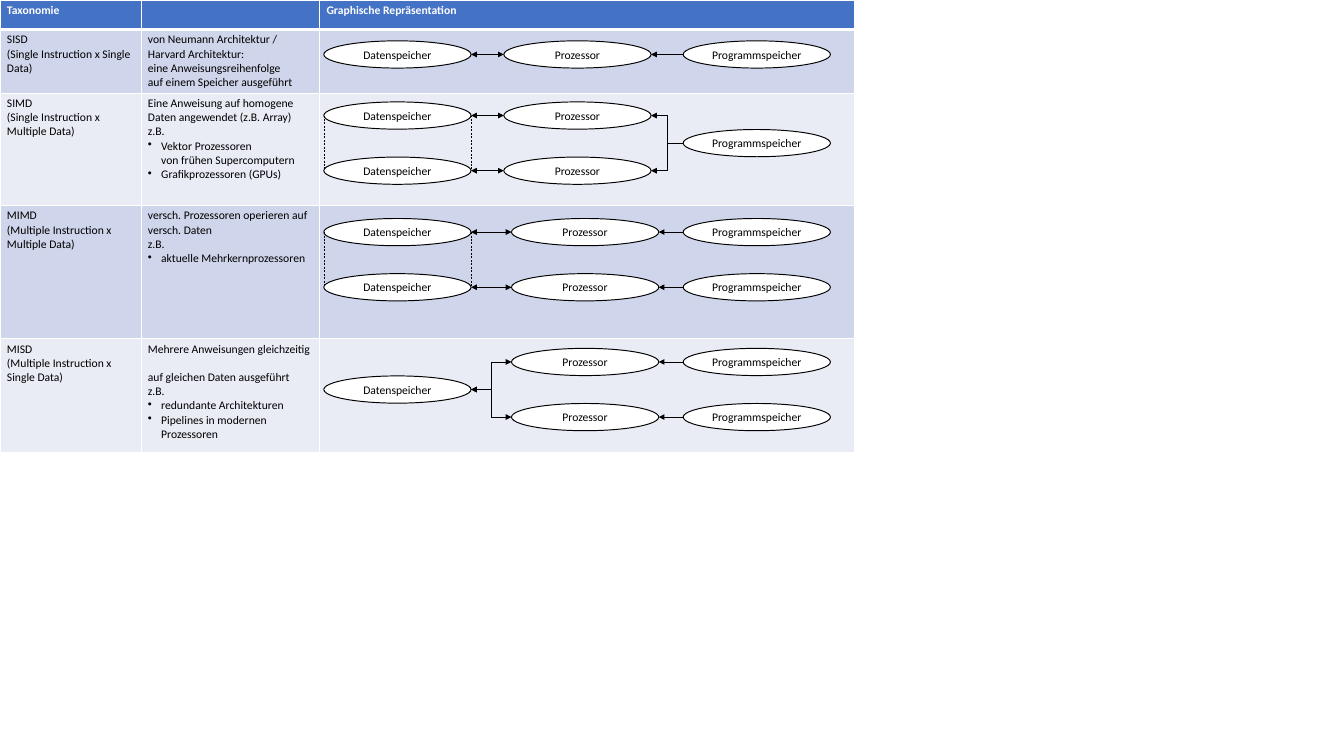
import pptx
import pptx.util
import pptx.dml.color
import pptx.enum.dml
import pptx.enum.shapes
import pptx.enum.text
import pptx.oxml
import pptx.oxml.ns
from lxml import etree

INCH = pptx.util.Inches
BLACK, WHITE, BLUE = "000000", "FFFFFF", "4472C4"
BANDS = ["CFD5EA", "E9EBF5"]

# Grid of the table and of the diagrams, in inches
COLS = [2.02, 2.56, 7.66]
ROWS = [0.42, 0.88, 1.61, 1.91, 1.63]
NODE_W, NODE_H, LANE = 2.11, 0.39, 0.79
DATA_X, PROG_X = 4.64, 9.79

HEADS = ["Taxonomie", "", "Graphische Repräsentation"]

# Name, description, bullets
CLASSES = [
    ("SISD\n(Single Instruction x Single Data)",
     "von Neumann Architektur /\nHarvard Architektur:\n"
     "eine Anweisungsreihenfolge \nauf einem Speicher ausgeführt", []),
    ("SIMD \n(Single Instruction x Multiple Data)",
     "Eine Anweisung auf homogene \nDaten angewendet (z.B. Array)\nz.B. ",
     ["Vektor Prozessoren \nvon frühen Supercomputern",
      "Grafikprozessoren (GPUs)"]),
    ("MIMD \n(Multiple Instruction x Multiple Data)",
     "versch. Prozessoren operieren auf versch. Daten\nz.B. ",
     ["aktuelle Mehrkernprozessoren"]),
    ("MISD \n(Multiple Instruction x Single Data)",
     "Mehrere Anweisungen gleichzeitig \nauf gleichen Daten ausgeführt\nz.B. ",
     ["redundante Architekturen", "Pipelines in modernen Prozessoren"]),
]

# Middle height, left of processors, count of data / processor / program nodes
FLOWS = [
    (0.78, 7.22, 1, 1, 1),
    (2.05, 7.22, 2, 2, 1),
    (3.72, 7.33, 2, 2, 2),
    (5.58, 7.33, 1, 2, 2),
]


def color(code):
    return pptx.dml.color.RGBColor.from_string(code)


def paint(thing, code):
    thing.fill.solid()
    thing.fill.fore_color.rgb = color(code)


def child(parent, tag, **attrs):
    return etree.SubElement(parent, pptx.oxml.ns.qn(tag), **attrs)


def write(para, text, code=BLACK, bold=False):
    para.text = text
    para.font.name = "Calibri"
    para.font.size = pptx.util.Pt(12)
    para.font.bold = bold
    para.font.color.rgb = color(code)


def bullet(para):
    props = para._p.get_or_add_pPr()
    props.set("marL", str(INCH(0.19)))
    props.set("indent", str(INCH(-0.19)))
    mark = child(props, "a:buChar", char="•")
    props.insert(0, mark)


def border(cell, top, bottom):
    props = cell._tc.get_or_add_tcPr()
    widths = {"a:lnL": 1, "a:lnR": 1, "a:lnT": top, "a:lnB": bottom}
    for place, (tag, width) in enumerate(widths.items()):
        line = child(props, tag, w=str(pptx.util.Pt(width)))
        child(child(line, "a:solidFill"), "a:srgbClr", val=WHITE)
        props.insert(place, line)


def fill_cell(cell, row, text, points=()):
    paint(cell, BANDS[(row - 1) % 2] if row else BLUE)
    border(cell, 3 if row == 1 else 1, 1 if row else 3)
    frame = cell.text_frame
    write(frame.paragraphs[0], text, BLACK if row else WHITE, not row)
    for point in points:
        para = frame.add_paragraph()
        write(para, point)
        bullet(para)


def add_grid(slide):
    size = [INCH(sum(COLS)), INCH(sum(ROWS))]
    table = slide.shapes.add_table(len(ROWS), len(COLS), 0, 0, *size).table
    for col, width in zip(table.columns, COLS):
        col.width = INCH(width)
    for row, height in zip(table.rows, ROWS):
        row.height = INCH(height)
    for col, text in enumerate(HEADS):
        fill_cell(table.cell(0, col), 0, text)
    for row, (name, about, points) in enumerate(CLASSES, 1):
        fill_cell(table.cell(row, 0), row, name)
        fill_cell(table.cell(row, 1), row, about, points)
        fill_cell(table.cell(row, 2), row, "")


def add_node(slide, left, mid, text):
    box = [INCH(v) for v in (left, mid - NODE_H / 2, NODE_W, NODE_H)]
    node = slide.shapes.add_shape(pptx.enum.shapes.MSO_SHAPE.OVAL, *box)
    node.shadow.inherit = False
    paint(node, WHITE)
    node.line.color.rgb = color(BLACK)
    node.line.width = pptx.util.Pt(1)
    frame = node.text_frame
    frame.word_wrap = False
    frame.margin_left = frame.margin_right = 0
    frame.margin_top = frame.margin_bottom = 0
    frame.vertical_anchor = pptx.enum.text.MSO_ANCHOR.MIDDLE
    write(frame.paragraphs[0], text)
    frame.paragraphs[0].alignment = pptx.enum.text.PP_ALIGN.CENTER


def add_link(slide, start, end, tips=(), dashed=False):
    kinds = pptx.enum.shapes.MSO_CONNECTOR
    bent = start[0] != end[0] and start[1] != end[1]
    ends = [INCH(v) for v in (*start, *end)]
    link = slide.shapes.add_connector(
        kinds.ELBOW if bent else kinds.STRAIGHT, *ends)
    link.line.color.rgb = color(BLACK)
    link.line.width = pptx.util.Pt(0.5)
    if dashed:
        link.line.dash_style = pptx.enum.dml.MSO_LINE.DASH
    line = link.line._get_or_add_ln()
    for tip in tips:
        child(line, tip, type="triangle")
    child(link._element.spPr, "a:effectLst")


def lanes(mid, count):
    return [mid + (i - (count - 1) / 2) * LANE for i in range(count)]


def pairs(left, right):
    count = max(len(left), len(right))
    return [(left[i % len(left)], right[i % len(right)]) for i in range(count)]


def add_flow(slide, mid, proc_x, *counts):
    data, procs, progs = [lanes(mid, count) for count in counts]
    # Nodes
    for left, mids, text in ((DATA_X, data, "Datenspeicher"),
                             (proc_x, procs, "Prozessor"),
                             (PROG_X, progs, "Programmspeicher")):
        for y in mids:
            add_node(slide, left, y, text)
    # Arrows
    for y, to in pairs(data, procs):
        add_link(slide, (DATA_X + NODE_W, y), (proc_x, to),
                 ("a:headEnd", "a:tailEnd"))
    for y, to in pairs(progs, procs):
        add_link(slide, (PROG_X, y), (proc_x + NODE_W, to), ("a:tailEnd",))
    # Dashed sides of a shared data store
    if len(data) > 1:
        for x in (DATA_X, DATA_X + NODE_W):
            add_link(slide, (x, data[0]), (x, data[-1]), dashed=True)


def main():
    deck = pptx.Presentation()
    deck.slide_width, deck.slide_height = INCH(19.26), INCH(10.83)
    slide = deck.slides.add_slide(deck.slide_layouts[6])
    add_grid(slide)
    for flow in FLOWS:
        add_flow(slide, *flow)
    deck.save("out.pptx")


main()
